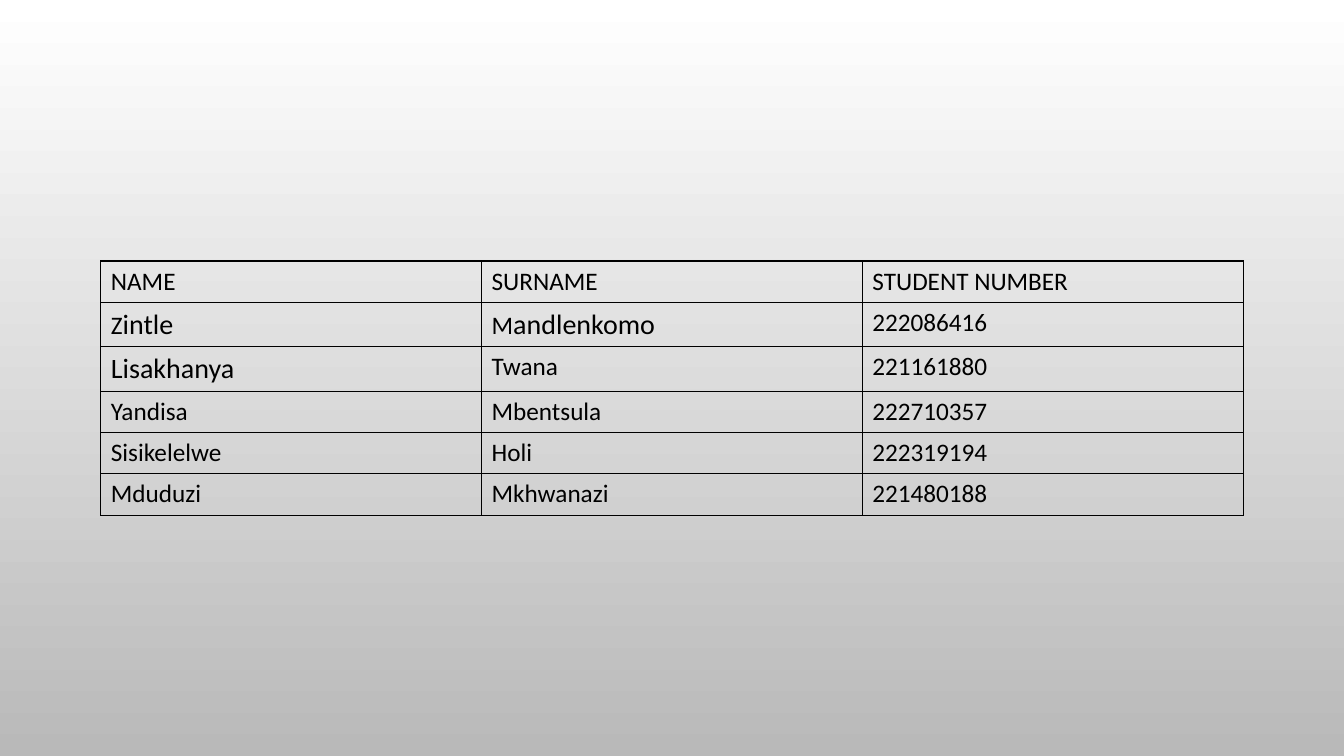
from dataclasses import dataclass

from lxml.etree import SubElement
from pptx import Presentation
from pptx.dml.color import RGBColor
from pptx.oxml.ns import qn
from pptx.util import Inches, Pt


@dataclass(frozen=True)
class Theme:
    font: str = "Calibri"
    body_size: int = 18
    large_size: int = 20
    text: str = "000000"
    border: str = "000000"
    border_width: int = 1
    background: tuple = ("FFFFFF", "B9B9B9")


THEME = Theme()
LARGE = THEME.large_size

# A cell is plain text, or a list of (text, size) runs.
STUDENTS = [
    ("NAME", "SURNAME", "STUDENT NUMBER"),
    (
        [("Z", THEME.body_size), ("intle", LARGE)],
        [("M", THEME.body_size), ("andlenkomo", LARGE)],
        "222086416",
    ),
    ([("Lisakhanya", LARGE)], "Twana", "221161880"),
    ("Yandisa", "Mbentsula", "222710357"),
    ("Sisikelelwe", "Holi", "222319194"),
    ("Mduduzi", "Mkhwanazi", "221480188"),
]


class SlideBuilder:
    def __init__(self, slide, theme):
        self.slide = slide
        self.theme = theme

    def paint_background(self):
        fill = self.slide.background.fill
        fill.gradient()
        fill.gradient_angle = 270
        for stop, color in zip(fill.gradient_stops, self.theme.background):
            stop.color.rgb = RGBColor.from_string(color)

    def add_table(self, rows, left, top, width, row_height):
        frame = self.slide.shapes.add_table(
            len(rows), len(rows[0]), Inches(left), Inches(top),
            Inches(width), Inches(row_height * len(rows)),
        )
        table = frame.table
        table.first_row = False
        table.horz_banding = False
        for row, contents in zip(table.rows, rows):
            row.height = Inches(row_height)
            for cell, content in zip(row.cells, contents):
                self.draw_borders(cell)
                cell.fill.background()
                self.write_cell(cell, content)

    def draw_borders(self, cell):
        properties = cell._tc.get_or_add_tcPr()
        for side in ("L", "R", "T", "B"):
            line = SubElement(properties, qn(f"a:ln{side}"),
                              w=str(Pt(self.theme.border_width)))
            solid = SubElement(line, qn("a:solidFill"))
            SubElement(solid, qn("a:srgbClr"), val=self.theme.border)

    def write_cell(self, cell, content):
        if isinstance(content, str):
            content = [(content, self.theme.body_size)]
        paragraph = cell.text_frame.paragraphs[0]
        for text, size in content:
            run = paragraph.add_run()
            run.text = text
            font_format = {"name": self.theme.font, "size": Pt(size)}
            for attribute, value in font_format.items():
                setattr(run.font, attribute, value)
            run.font.color.rgb = RGBColor.from_string(self.theme.text)


def main():
    presentation = Presentation()
    presentation.slide_width = Inches(13.33)
    presentation.slide_height = Inches(7.5)
    blank_layout = presentation.slide_layouts.get_by_name("Blank")
    slide = presentation.slides.add_slide(blank_layout)
    builder = SlideBuilder(slide, THEME)
    builder.paint_background()
    builder.add_table(STUDENTS, left=1, top=2.59, width=11.33, row_height=0.41)
    presentation.save("out.pptx")


if __name__ == "__main__":
    main()
